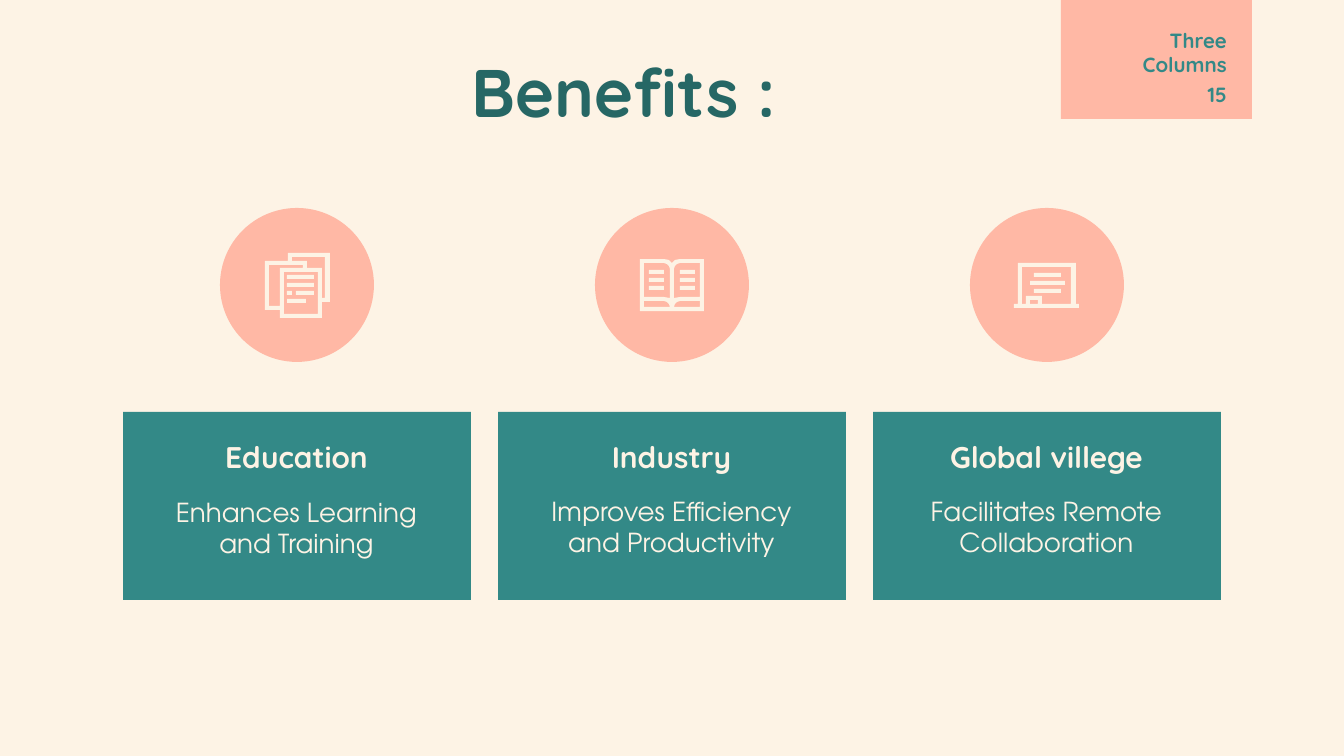
from dataclasses import dataclass

from pptx import Presentation
from pptx.dml.color import RGBColor
from pptx.enum.shapes import MSO_SHAPE
from pptx.enum.text import MSO_ANCHOR, PP_ALIGN
from pptx.util import Emu, Pt

EMU_PER_PX = 914400 / 134.4
COLORS = {
    "cream": "FDF3E5",
    "teal": "338987",
    "dark_teal": "266765",
    "pink": "FFB8A5",
}
HEADING_FONT = "Quicksand"
BODY_FONT = "TeX Gyre Adventor"
COLUMN_PITCH = 375
INSET = 13

Point = tuple[int, int]
Contour = list[Point]


@dataclass(frozen=True)
class Box:
    left: int
    top: int
    width: int
    height: int


@dataclass(frozen=True)
class TextStyle:
    size: int
    color: str
    font: str = HEADING_FONT
    bold: bool = True
    align: PP_ALIGN = PP_ALIGN.CENTER
    anchor: MSO_ANCHOR = MSO_ANCHOR.MIDDLE


@dataclass(frozen=True)
class Icon:
    """Outline contours and text bars, measured from the circle's centre."""
    contours: list[Contour]
    bars: list[Box]


@dataclass(frozen=True)
class Benefit:
    heading: str
    summary: str
    summary_top: int
    icon: Icon


def px(length: int) -> Emu:
    return Emu(round(length * EMU_PER_PX))


def color(name: str) -> RGBColor:
    return RGBColor.from_string(COLORS[name])


def paint(shape, fill: str) -> None:
    shape.fill.solid()
    shape.fill.fore_color.rgb = color(fill)
    shape.line.fill.background()
    shape.shadow.inherit = False


def draw_shape(shapes, preset: MSO_SHAPE, box: Box, fill: str) -> None:
    paint(shapes.add_shape(preset, px(box.left), px(box.top),
                           px(box.width), px(box.height)), fill)


def draw_text(shapes, text: str, box: Box, style: TextStyle) -> None:
    frame = shapes.add_textbox(px(box.left), px(box.top),
                               px(box.width), px(box.height)).text_frame
    frame.word_wrap = True
    frame.vertical_anchor = style.anchor
    frame.margin_left = frame.margin_right = px(INSET)
    frame.margin_top = frame.margin_bottom = px(INSET)
    frame.text = text
    for paragraph in frame.paragraphs:
        paragraph.alignment = style.align
        for run in paragraph.runs:
            run.font.size = Pt(style.size)
            run.font.name = style.font
            run.font.bold = style.bold
            run.font.color.rgb = color(style.color)


def draw_icon(shapes, icon: Icon, center_x: int, center_y: int) -> None:
    parts = shapes.add_group_shape().shapes
    first, *others = icon.contours
    outline = parts.build_freeform(*first[0], scale=EMU_PER_PX)
    outline.add_line_segments(first[1:], close=True)
    for contour in others:
        outline.move_to(*contour[0])
        outline.add_line_segments(contour[1:], close=True)
    paint(outline.convert_to_shape(px(center_x), px(center_y)), "cream")
    for bar in icon.bars:
        placed = Box(center_x + bar.left, center_y + bar.top, bar.width, bar.height)
        draw_shape(parts, MSO_SHAPE.RECTANGLE, placed, "cream")


def rectangle(left: int, top: int, right: int, bottom: int) -> Contour:
    return [(left, top), (left, bottom), (right, bottom), (right, top)]


def mirror(contour: Contour) -> Contour:
    return [(-x, y) for x, y in contour]


# Icons
papers = Icon(
    contours=[
        [(28, -28), (28, 13), (25, 13), (25, -17), (10, -17), (10, -24),
         (-5, -24), (-5, -28)],
        [(6, -20), (6, -17), (-17, -17), (-17, 21), (-28, 21), (-28, -20)],
        rectangle(-13, -13, 21, 29),
        [(-9, -32), (-9, -24), (-32, -24), (-32, 25), (-17, 25), (-17, 33),
         (25, 33), (25, 17), (33, 17), (33, -32)],
    ],
    bars=[Box(-10, -10, 27, 4), Box(-10, -2, 27, 4), Box(-10, 6, 5, 4),
          Box(-1, 6, 18, 4), Box(-10, 14, 19, 4)],
)
left_page = [(-8, -22), (-5, -21), (-3, -19), (-2, -16), (-2, 13), (-8, 12),
             (-28, 12), (-28, -22)]
left_edge = [(-8, 16), (-5, 17), (-3, 19), (-2, 22), (-28, 22), (-28, 16)]
left_cover = [(0, -22), (-3, -25), (-8, -26), (-32, -26), (-32, 26)]
book = Icon(
    contours=[left_page, mirror(left_page), left_edge, mirror(left_edge),
              left_cover + mirror(left_cover)[:0:-1]],
    bars=[Box(left, top, 15, 4) for left in (-23, 8) for top in (-15, -7, 1)],
)
board = Icon(
    contours=[
        rectangle(-17, 15, -9, 19),
        [(24, -18), (24, 19), (-5, 19), (-5, 11), (-21, 11), (-21, 19),
         (-25, 19), (-25, -18)],
        [(-29, -22), (-29, 19), (-33, 19), (-33, 23), (32, 23), (32, 19),
         (29, 19), (29, -22)],
    ],
    bars=[Box(-13, -12, 27, 4), Box(-17, -4, 35, 4), Box(-13, 4, 27, 4)],
)

BENEFITS = [
    Benefit("Education", "Enhances Learning and Training", 488, papers),
    Benefit("Industry", "Improves Efficiency and Productivity", 487, book),
    Benefit("Global villege", "Facilitates Remote Collaboration", 487, board),
]
CARD_HEADING = TextStyle(16, "cream")
CARD_SUMMARY = TextStyle(14, "cream", font=BODY_FONT, bold=False)


def draw_benefit(shapes, benefit: Benefit, column: int) -> None:
    shift = column * COLUMN_PITCH
    draw_shape(shapes, MSO_SHAPE.RECTANGLE, Box(123 + shift, 412, 348, 188), "teal")
    draw_text(shapes, benefit.heading, Box(142 + shift, 435, 309, 43), CARD_HEADING)
    draw_text(shapes, benefit.summary,
              Box(142 + shift, benefit.summary_top, 309, 79), CARD_SUMMARY)
    draw_shape(shapes, MSO_SHAPE.OVAL, Box(220 + shift, 208, 154, 154), "pink")
    draw_icon(shapes, benefit.icon, 297 + shift, 285)


def main() -> None:
    presentation = Presentation()
    presentation.slide_width = px(1344)
    presentation.slide_height = px(756)
    slide = presentation.slides.add_slide(presentation.slide_layouts[6])
    slide.background.fill.solid()
    slide.background.fill.fore_color.rgb = color("cream")
    shapes = slide.shapes

    # Corner tag with section name and page number
    draw_shape(shapes, MSO_SHAPE.RECTANGLE, Box(1061, 0, 191, 119), "pink")
    draw_text(shapes, "Three\nColumns", Box(818, 19, 422, 71),
              TextStyle(11, "teal", align=PP_ALIGN.RIGHT, anchor=MSO_ANCHOR.BOTTOM))
    draw_text(shapes, "15", Box(1159, 70, 81, 58),
              TextStyle(11, "teal", align=PP_ALIGN.RIGHT, anchor=MSO_ANCHOR.TOP))

    # Title
    draw_text(shapes, "Benefits :", Box(452, 69, 344, 43), TextStyle(36, "dark_teal"))

    # Benefit columns
    for column, benefit in enumerate(BENEFITS):
        draw_benefit(shapes, benefit, column)

    presentation.save("out.pptx")


if __name__ == "__main__":
    main()
